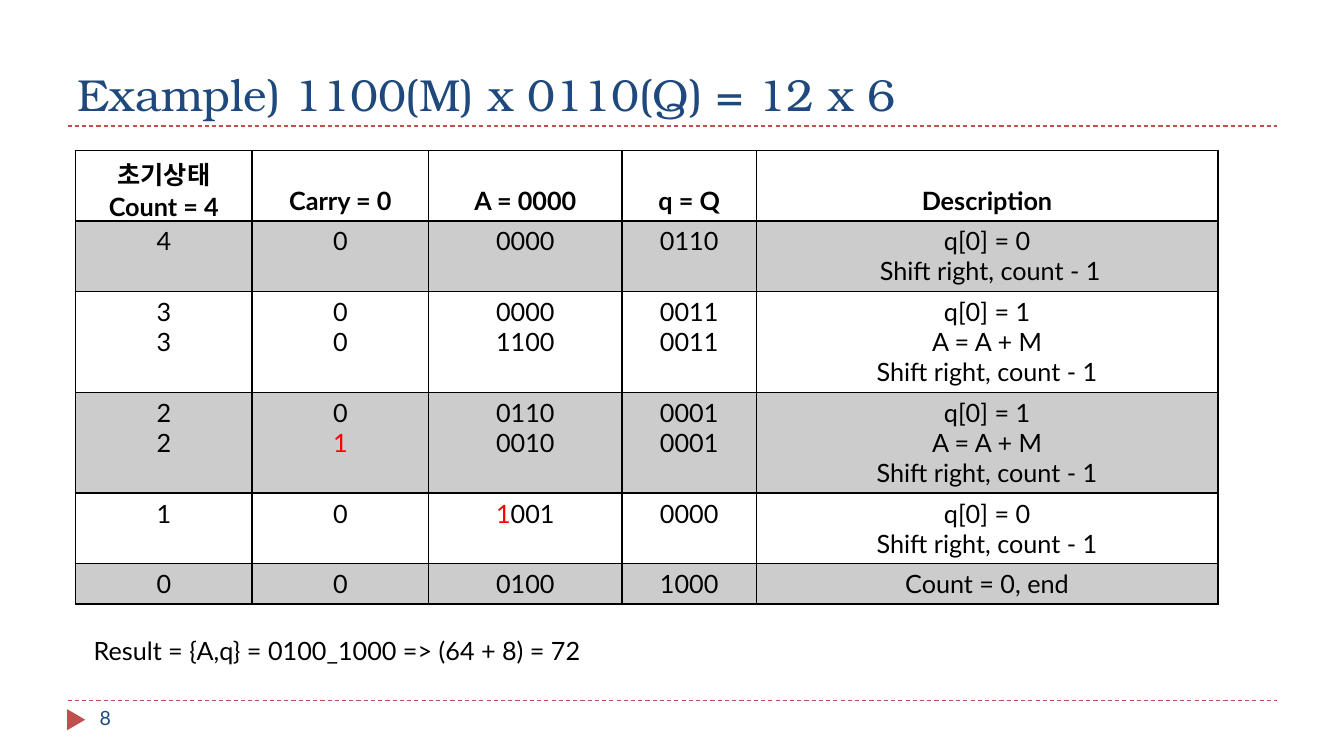
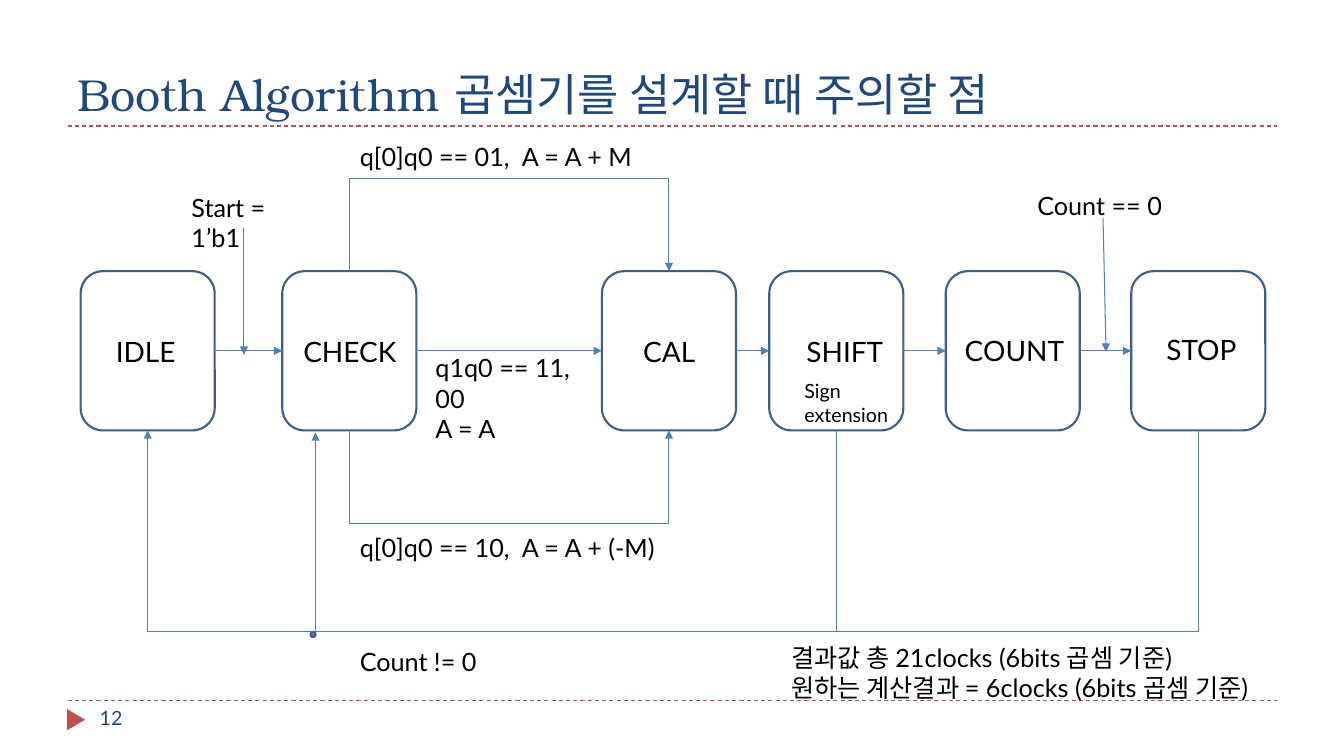
import pptx
import pptx.util
import pptx.dml.color
import pptx.enum.dml
import pptx.enum.shapes
import pptx.enum.text
import pptx.oxml
import pptx.oxml.ns
import lxml.etree

Inches = pptx.util.Inches
Pt = pptx.util.Pt
Color = pptx.dml.color.RGBColor.from_string
Shapes = pptx.enum.shapes.MSO_SHAPE
Align = pptx.enum.text.PP_ALIGN
qn = pptx.oxml.ns.qn


class Theme:
    title_font = "TeX Gyre Bonum"
    body_font = "Lato"
    navy = Color("1F497D")
    accent = Color("C0504D")
    flow = Color("4F81BD")
    outline = Color("3A5F8C")
    black = Color("000000")
    red = Color("FF0000")
    band = Color("CCCCCC")
    title_size = 32
    state_size = 20
    body_size = 18
    small_size = 14


def write_text(frame, text, size=Theme.body_size, color=Theme.black,
               font=Theme.body_font, align=Align.LEFT, bold=False):
    frame.word_wrap = True
    for index, line in enumerate(text.split("\n")):
        paragraph = frame.paragraphs[0] if index == 0 else frame.add_paragraph()
        paragraph.alignment = align
        for position, piece in enumerate(line.split("|")):
            if piece:
                run = paragraph.add_run()
                run.text = piece
                run.font.color.rgb = Theme.red if position % 2 else color
                for name, value in {"size": Pt(size), "name": font, "bold": bold}.items():
                    setattr(run.font, name, value)


def add_path(slide, points, color=Theme.flow, arrow=False, dashed=False):
    for start, end in zip(points, points[1:]):
        line = slide.shapes.add_connector(
            pptx.enum.shapes.MSO_CONNECTOR.STRAIGHT,
            *[Inches(length) for length in start + end])
        line.line.color.rgb = color
        line.line.width = Pt(0.75)
        if dashed:
            line.line.dash_style = pptx.enum.dml.MSO_LINE.DASH
        if arrow and end == points[-1]:
            lxml.etree.SubElement(line.line._get_or_add_ln(), qn("a:tailEnd"), type="triangle")
        lxml.etree.SubElement(line.element.spPr, qn("a:effectLst"))


presentation = pptx.Presentation()
presentation.slide_width = Inches(13.33)
presentation.slide_height = Inches(7.5)
layout = presentation.slide_layouts[5]
title_frame = {"left": 0.67, "top": 0.17, "width": 12, "height": 1.08}
for name, value in title_frame.items():
    setattr(layout.placeholders[0], name, Inches(value))

slides = []
for title, number in [("Example) 1100(M) x 0110(Q) = 12 x 6", "8"),
                      ("Booth Algorithm 곱셈기를 설계할 때 주의할 점", "12")]:
    slide = presentation.slides.add_slide(layout)
    slides.append(slide)
    frame = slide.shapes.title.text_frame
    frame.vertical_anchor = pptx.enum.text.MSO_ANCHOR.BOTTOM
    write_text(frame, title, Theme.title_size, Theme.navy, Theme.title_font)
    page_number = slide.shapes.add_textbox(Inches(0.89), Inches(6.95), Inches(2.89), Inches(0.4))
    write_text(page_number.text_frame, number, Theme.small_size, Theme.navy)
example, booth = slides

kept = len(example.shapes)
for y in (1.25, 6.95):
    add_path(example, [(0.67, y), (12.67, y)], Theme.accent, dashed=True)
marker = example.shapes.add_shape(Shapes.ISOSCELES_TRIANGLE, Inches(0.65), Inches(7.05),
                                  Inches(0.21), Inches(0.18))
marker.rotation = 90
marker.shadow.inherit = False
marker.fill.solid()
marker.fill.fore_color.rgb = Theme.accent
marker.line.fill.background()
for shape in list(example.shapes)[kept:]:
    layout.shapes.element.append(shape.element)

shift = "Shift right, count - 1"
rows = [
    ("초기상태\nCount = 4", "Carry = 0", "A = 0000", "q = Q", "Description"),
    ("4", "0", "0000", "0110", "q[0] = 0\n " + shift),
    ("3\n3", "0\n0", "0000\n1100", "0011\n0011", "q[0] = 1\nA = A + M\n" + shift),
    ("2\n2", "0\n|1|", "0110\n0010", "0001\n0001", "q[0] = 1\nA = A + M\n" + shift),
    ("1", "0", "|1|001", "0000", "q[0] = 0\n" + shift),
    ("0", "0", "0100", "1000", "Count = 0, end"),
]
widths = [1.75, 1.75, 1.92, 1.33, 4.58]
table = example.shapes.add_table(len(rows), len(widths), Inches(0.75), Inches(1.49),
                                 Inches(sum(widths)), Inches(4.51)).table
table.horz_banding = False
for column, width in zip(table.columns, widths):
    column.width = Inches(width)
for row_index, texts in enumerate(rows):
    line_count = max(text.count("\n") + 1 for text in texts)
    table.rows[row_index].height = Inches(0.1 + 0.3 * line_count)
    header = row_index == 0
    for column_index, text in enumerate(texts):
        cell = table.cell(row_index, column_index)
        write_text(cell.text_frame, text, align=Align.CENTER, bold=header)
        if header and column_index:
            cell.margin_top = Inches(0.35)
        properties = cell._tc.get_or_add_tcPr()
        for side in ("L", "R", "T", "B"):
            thick = (row_index, side) in [(0, "B"), (1, "T")]
            border = lxml.etree.SubElement(properties, qn("a:ln" + side),
                                           w=str(Pt(2 if thick else 1)))
            fill = lxml.etree.SubElement(border, qn("a:solidFill"))
            lxml.etree.SubElement(fill, qn("a:srgbClr"), val=str(Theme.black))
        if row_index % 2:
            cell.fill.solid()
            cell.fill.fore_color.rgb = Theme.band
        else:
            cell.fill.background()

result = example.shapes.add_textbox(Inches(0.83), Inches(6.25), Inches(11.58), Inches(0.4))
write_text(result.text_frame, "Result = {A,q} = 0100_1000 => (64 + 8) = 72")

state_top, state_width, state_height = 2.69, 1.33, 1.58
state_bottom = state_top + state_height
flow_y = state_top + state_height / 2
states = [
    ("IDLE", 0.8, 1.05, 3.27),
    ("CHECK", 2.8, 2.91, 3.27),
    ("CAL", 5.97, 6.28, 3.27),
    ("SHIFT", 7.63, 7.9, 3.27),
    ("COUNT", 9.38, 9.47, 3.26),
    ("STOP", 11.22, 11.47, 3.25),
]
for name, left, label_left, label_top in states:
    state = booth.shapes.add_shape(Shapes.ROUNDED_RECTANGLE, Inches(left), Inches(state_top),
                                   Inches(state_width), Inches(state_height))
    state.shadow.inherit = False
    state.fill.background()
    state.line.color.rgb = Theme.outline
    state.line.width = Pt(1.5)
    label = booth.shapes.add_textbox(Inches(label_left), Inches(label_top), Inches(1.23), Inches(0.44))
    write_text(label.text_frame, name, Theme.state_size)
for current, following in zip(states, states[1:]):
    add_path(booth, [(current[1] + state_width, flow_y), (following[1], flow_y)], arrow=True)

idle_x, check_x, cal_x, shift_x, count_x, stop_x = [
    left + state_width / 2 for name, left, label_left, label_top in states]
loop_y = 6.27
loop_x = 3.13
for points, arrow in [
    ([(check_x, state_top), (check_x, 1.77), (cal_x, 1.77), (cal_x, state_top)], True),
    ([(check_x, state_bottom), (check_x, 5.19), (cal_x, 5.19), (cal_x, state_bottom)], True),
    ([(shift_x, state_bottom), (shift_x, loop_y)], False),
    ([(loop_x, loop_y), (loop_x, 4.29)], True),
    ([(stop_x, state_bottom), (stop_x, loop_y), (idle_x, loop_y), (idle_x, state_bottom)], True),
    ([(2.42, 2.26), (2.42, 3.52)], True),
    ([(10.94, 2.16), (10.97, 3.49)], True),
]:
    add_path(booth, points, arrow=arrow)

junction = booth.shapes.add_shape(Shapes.OVAL, Inches(3.08), Inches(loop_y), Inches(0.05), Inches(0.05))
junction.shadow.inherit = False
junction.fill.solid()
junction.fill.fore_color.rgb = Theme.flow
junction.line.color.rgb = Theme.outline
junction.line.width = Pt(1.5)

for text, left, top, width, height, size in [
    ("q[0]q0 == 01,  A = A + M", 3.47, 1.35, 3.17, 0.4, Theme.body_size),
    ("q[0]q0 == 10,  A = A + (-M)", 3.47, 5.23, 3.17, 0.4, Theme.body_size),
    ("q1q0 == 11, 00\nA = A", 4.22, 3.45, 1.75, 0.71, Theme.body_size),
    ("Sign extension", 7.88, 3.71, 1.17, 0.57, Theme.small_size),
    ("Count != 0", 3.47, 6.36, 3.17, 0.4, Theme.body_size),
    ("Count == 0", 10.19, 1.84, 1.78, 0.4, Theme.body_size),
    ("Start = 1’b1", 1.8, 1.86, 1.42, 0.4, Theme.body_size),
    ("결과값 총 21clocks (6bits 곱셈 기준)\n원하는 계산결과 = 6clocks (6bits 곱셈 기준)",
     7.75, 6.32, 5.67, 0.71, Theme.body_size),
]:
    note = booth.shapes.add_textbox(Inches(left), Inches(top), Inches(width), Inches(height))
    write_text(note.text_frame, text, size)

presentation.save("out.pptx")
